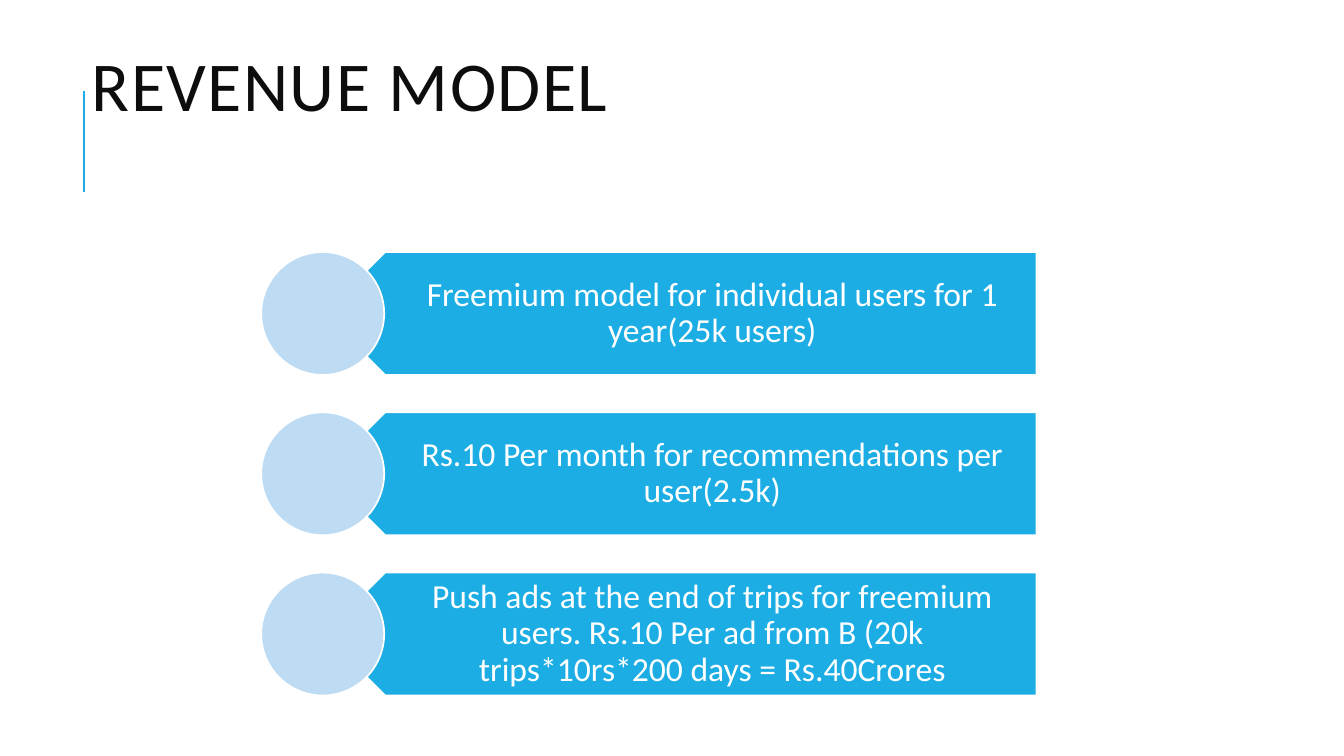
from lxml.etree import SubElement
from pptx import Presentation
from pptx.dml.color import RGBColor
from pptx.enum.shapes import MSO_CONNECTOR, MSO_SHAPE
from pptx.enum.text import MSO_ANCHOR, MSO_AUTO_SIZE, PP_ALIGN
from pptx.oxml.ns import qn
from pptx.util import Inches, Pt

BLUE = RGBColor(0x1C, 0xAD, 0xE4)
PALE_BLUE = RGBColor(0xBD, 0xDB, 0xF2)
WHITE = RGBColor(0xFF, 0xFF, 0xFF)
NEAR_BLACK = RGBColor(0x0D, 0x0D, 0x0D)
FONT = "Calibri"

REVENUE_STREAMS = [
    "Freemium model for individual users for 1 year(25k users)",
    "Rs.10 Per month for recommendations per user(2.5k)",
    "Push ads at the end of trips for freemium users. Rs.10 Per ad from B "
    "(20k trips*10rs*200 days = Rs.40Crores",
]
FIRST_TOP = 2.5
ROW_PITCH = 1.59
ROW_HEIGHT = 1.22


def write_text(shape, text, *, size, color, align, line_spacing,
               insets=(0.1, 0.05, 0.1, 0.05), tracking=0):
    """Write one formatted paragraph into a shape."""
    frame = shape.text_frame
    frame.word_wrap = True
    frame.auto_size = MSO_AUTO_SIZE.NONE
    frame.vertical_anchor = MSO_ANCHOR.MIDDLE
    (frame.margin_left, frame.margin_top,
     frame.margin_right, frame.margin_bottom) = map(Inches, insets)
    paragraph = frame.paragraphs[0]
    paragraph.alignment = align
    paragraph.line_spacing = line_spacing
    run = paragraph.add_run()
    run.text = text
    run.font.name = FONT
    run.font.size = Pt(size)
    run.font.color.rgb = color
    if tracking:
        run.font._element.set("spc", str(tracking * 100))


def add_outlined_shape(slide, kind, left, top, width, fill):
    """Add a filled, white-edged shape of row height."""
    shape = slide.shapes.add_shape(
        kind, Inches(left), Inches(top), Inches(width), Inches(ROW_HEIGHT))
    shape.shadow.inherit = False
    shape.fill.solid()
    shape.fill.fore_color.rgb = fill
    shape.line.color.rgb = WHITE
    shape.line.width = Pt(1.25)
    return shape


def add_revenue_row(slide, top, text):
    """Add a left-pointing banner with its text and circle."""
    banner = add_outlined_shape(
        slide, MSO_SHAPE.PENTAGON, 3.21, top, 7.07, BLUE)
    banner.rotation = 180
    label = slide.shapes.add_textbox(
        Inches(3.51), Inches(top), Inches(6.76), Inches(ROW_HEIGHT))
    write_text(label, text, size=24, color=WHITE, align=PP_ALIGN.CENTER,
               line_spacing=0.9, insets=(0.54, 0.1, 0.19, 0.1))
    add_outlined_shape(
        slide, MSO_SHAPE.OVAL, 2.59, top, ROW_HEIGHT, PALE_BLUE)


def add_accent_line(slide):
    """Add the vertical rule beside the title."""
    line = slide.shapes.add_connector(
        MSO_CONNECTOR.STRAIGHT,
        Inches(0.83), Inches(1.9), Inches(0.83), Inches(0.9))
    line.line.color.rgb = BLUE
    line.line.width = Pt(1.5)
    SubElement(line._element.spPr, qn("a:effectLst"))


def set_title(slide, text):
    """Place and format the title placeholder."""
    title = slide.shapes.title
    title.left, title.top = Inches(0.81), Inches(0.33)
    title.width, title.height = Inches(8.64), Inches(1.15)
    write_text(title, text, size=50, color=NEAR_BLACK, align=PP_ALIGN.LEFT,
               line_spacing=0.8, tracking=1)


def main():
    """Build and save the revenue model slide."""
    presentation = Presentation()
    presentation.slide_width = Inches(13.33)
    presentation.slide_height = Inches(7.5)
    slide = presentation.slides.add_slide(presentation.slide_layouts[5])
    set_title(slide, "REVENUE MODEL")
    add_accent_line(slide)
    for index, text in enumerate(REVENUE_STREAMS):
        add_revenue_row(slide, FIRST_TOP + index * ROW_PITCH, text)
    presentation.save("out.pptx")


if __name__ == "__main__":
    main()
